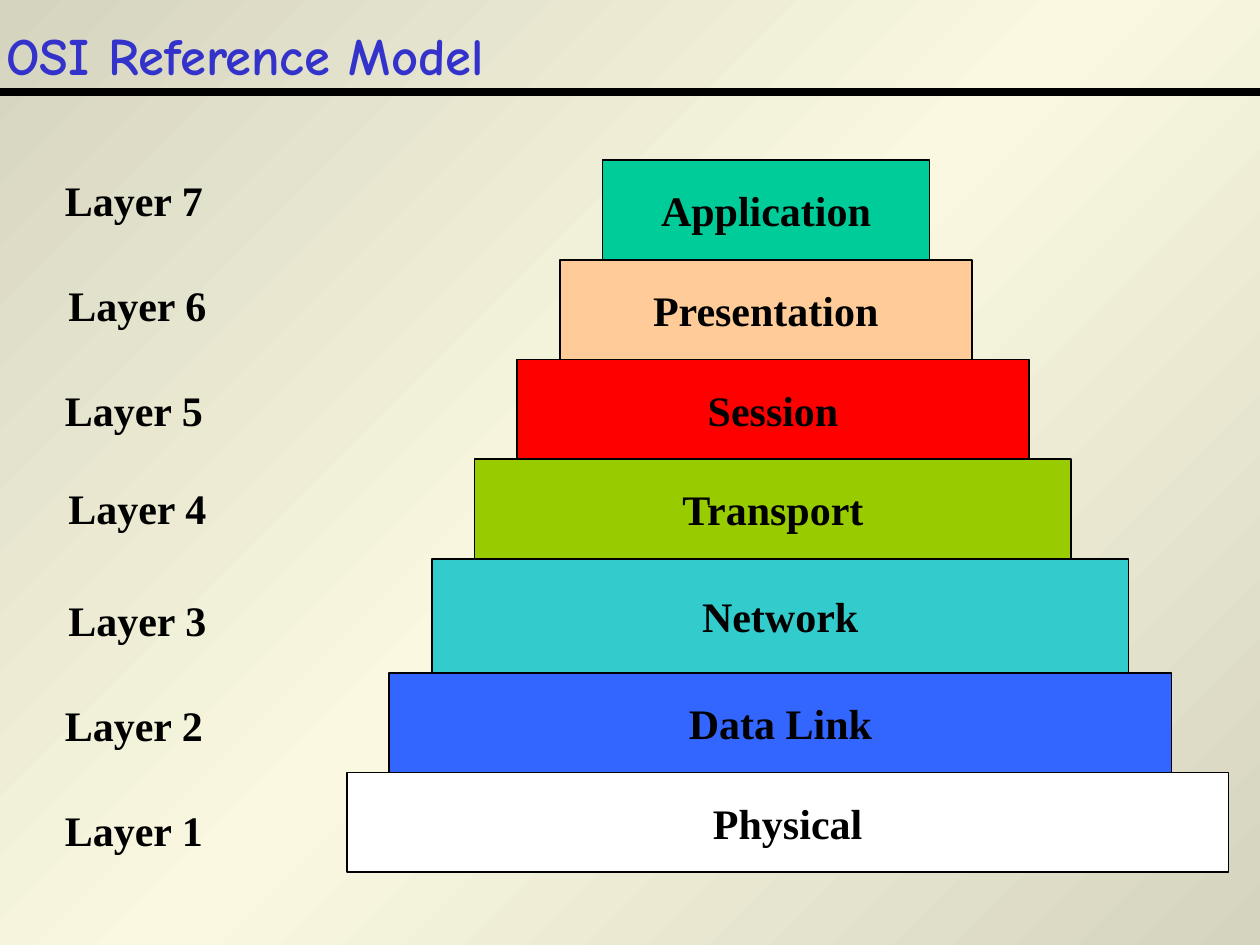
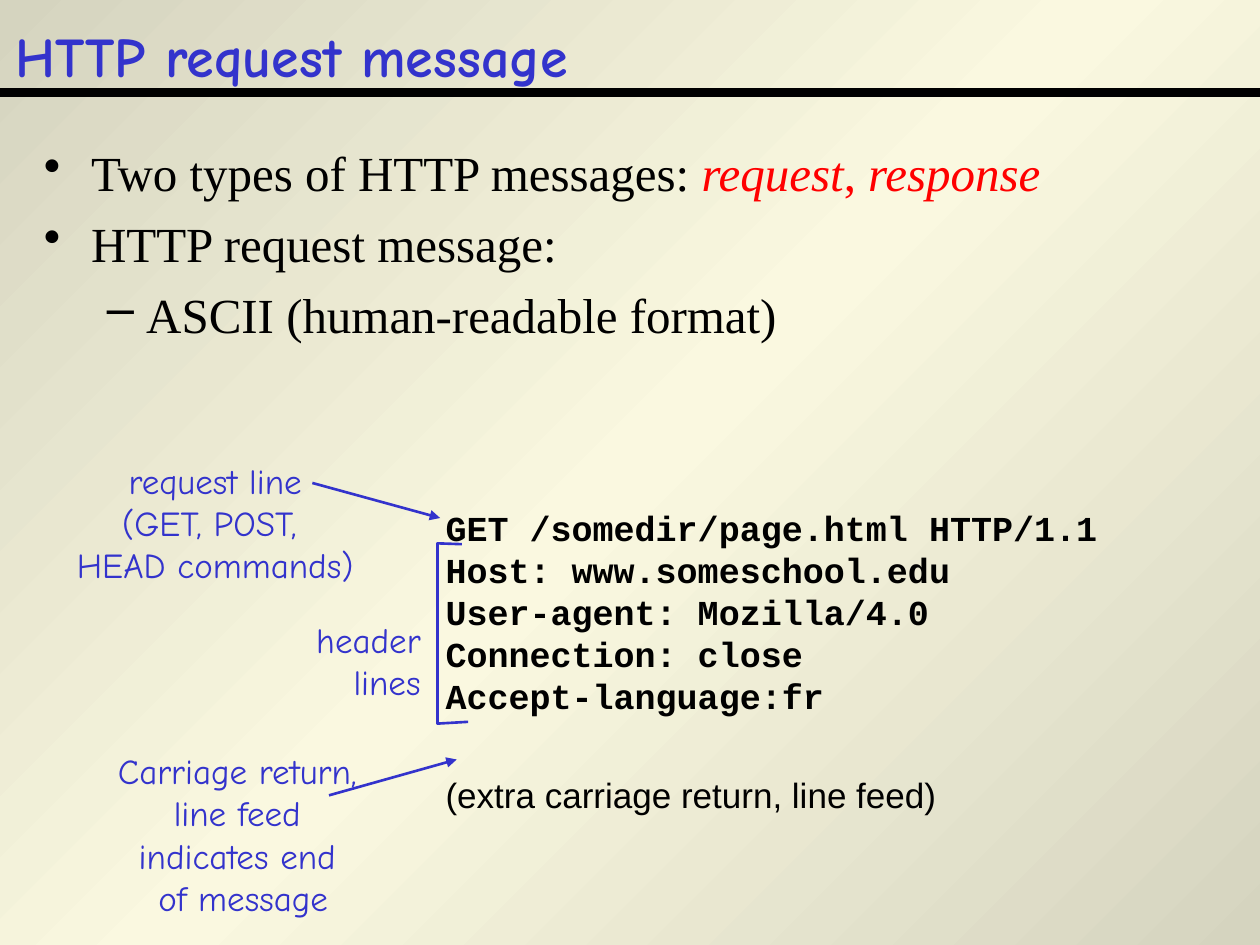
"""Build two networking slides: the OSI reference model and the HTTP request message."""
import copy
import dataclasses

import pptx
import pptx.dml.color
import pptx.enum.shapes
import pptx.enum.text
import pptx.oxml
import pptx.oxml.ns
import pptx.util

Pt = pptx.util.Pt
RGB = pptx.dml.color.RGBColor.from_string
ALIGN = pptx.enum.text.PP_ALIGN
ANCHOR = pptx.enum.text.MSO_ANCHOR
RECTANGLE = pptx.enum.shapes.MSO_SHAPE.RECTANGLE
STRAIGHT = pptx.enum.shapes.MSO_CONNECTOR.STRAIGHT
qn = pptx.oxml.ns.qn


@dataclasses.dataclass(frozen=True)
class Theme:
    edge: str = "D5D4BF"
    glow: str = "FAF8E0"
    ink: str = "000000"
    accent: str = "3333CC"
    emphasis: str = "FF0000"
    hand: str = "Comic Neue"
    serif: str = "Times New Roman"
    mono: str = "Courier New"
    sans: str = "Arial"
    body: int = 28
    label: int = 24
    note: int = 20
    leading: float = 1.2


theme = Theme()


def write(shape, lines, size, font, color=theme.ink, bold=False,
          align=ALIGN.LEFT, anchor=ANCHOR.TOP):
    frame = shape.text_frame
    frame.word_wrap = True
    frame.vertical_anchor = anchor
    frame.text = "\n".join(lines)
    for paragraph in frame.paragraphs:
        paragraph.alignment = align
        paragraph.line_spacing = Pt(size * theme.leading)
        for run in paragraph.runs:
            run.font.size = Pt(size)
            run.font.name = font
            run.font.bold = bold
            run.font.color.rgb = RGB(color)
    return frame.paragraphs


def draw_line(slide, start, end, color, width, arrow=False):
    line = slide.shapes.add_connector(STRAIGHT, *map(Pt, start + end))
    line.line.color.rgb = RGB(color)
    line.line.width = Pt(width)
    properties = line.element.spPr
    if arrow:
        outline = properties.find(qn("a:ln"))
        outline.append(pptx.oxml.parse_xml(
            f'<a:tailEnd {pptx.oxml.ns.nsdecls("a")} type="triangle"/>'))
    properties.append(properties.makeelement(qn("a:effectLst"), {}))


deck = pptx.Presentation()
deck.slide_width, deck.slide_height = Pt(720), Pt(540)
blank = deck.slide_layouts[6]

backdrop = deck.slide_master.background.fill
backdrop.gradient()
backdrop.gradient_angle = 135
first_stop = deck.slide_master.element.find(".//" + qn("a:gs"))
first_stop.addnext(copy.deepcopy(first_stop))
gradient = ((0, theme.edge), (0.5, theme.glow), (1, theme.edge))
for stop, (position, color) in zip(backdrop.gradient_stops, gradient):
    stop.position = position
    stop.color.rgb = RGB(color)

headings = (
    ("OSI Reference Model", (-3.6, 6.5, 672, 49.5), 30, ANCHOR.MIDDLE, 2),
    ("HTTP request message", (1.5, 8.5, 528, 46), 32, ANCHOR.TOP, 3),
)
slides = []
for heading, place, size, anchor, rule_width in headings:
    slide = deck.slides.add_slide(blank)
    draw_line(slide, (0, 52), (720, 52), theme.ink, 3)
    draw_line(slide, (0, 54), (720, 54), theme.ink, rule_width)
    title = slide.shapes.add_textbox(*map(Pt, place))
    write(title, [heading], size, theme.hand, theme.accent, True, anchor=anchor)
    slides.append(slide)
osi, http = slides

layers = (
    ("Application", "00CC99", 187, 57, 30, 96),
    ("Presentation", "FFCC99", 235.5, 57, 32, 156),
    ("Session", "FF0000", 292.5, 57, 30, 216),
    ("Transport", "99CC00", 341, 57, 32, 272),
    ("Network", "33CCCC", 398, 65, 32, 336),
    ("Data Link", "3366FF", 447, 57, 30, 396),
    ("Physical", "FFFFFF", 504, 57, 30, 456),
)
step_top = 91.4
for index, (name, color, width, height, label_left, label_top) in enumerate(layers):
    step_left = 344.2 - 24.35 * index
    step = osi.shapes.add_shape(
        RECTANGLE, Pt(step_left), Pt(step_top), Pt(width), Pt(height))
    step.shadow.inherit = False
    step.fill.solid()
    step.fill.fore_color.rgb = RGB(color)
    step.line.color.rgb = RGB(theme.ink)
    step.line.width = Pt(1)
    write(step, [name], theme.label, theme.serif, bold=True,
          align=ALIGN.CENTER, anchor=ANCHOR.MIDDLE)
    label = osi.shapes.add_textbox(Pt(label_left), Pt(label_top), Pt(130), Pt(36))
    write(label, [f"Layer {len(layers) - index}"], theme.label, theme.serif, bold=True)
    step_top += height

points = http.shapes.add_textbox(Pt(18), Pt(78), Pt(684), Pt(162))
outline = write(
    points,
    ["Two types of HTTP messages: ", "HTTP request message:",
     "ASCII (human-readable format)"],
    theme.body, theme.serif)
for text, italic in (("request", True), (", ", False), ("response", True)):
    run = outline[0].add_run()
    run.text = text
    run.font.size = Pt(theme.body)
    run.font.name = theme.serif
    run.font.italic = italic
    run.font.color.rgb = RGB(theme.emphasis)
bullets = (("•", 0, 27, 27), ("•", 0, 27, 27), ("–", 1, 58.5, 22.5))
for index, (paragraph, (mark, level, margin, hang)) in enumerate(zip(outline, bullets)):
    paragraph.level = level
    if index:
        paragraph.space_before = Pt(7)
    properties = paragraph._p.get_or_add_pPr()
    properties.set("marL", str(Pt(margin)))
    properties.set("indent", str(-Pt(hang)))
    properties.append(properties.makeelement(qn("a:buChar"), {"char": mark}))

request = http.shapes.add_textbox(Pt(247.5), Pt(286), Pt(400), Pt(185))
request_lines = write(
    request,
    ["GET /somedir/page.html HTTP/1.1", "Host: www.someschool.edu",
     "User-agent: Mozilla/4.0", "Connection: close", "Accept-language:fr",
     "(extra carriage return, line feed)"],
    theme.note, theme.mono, bold=True)
closing = request_lines[-1]
closing.space_before = Pt(32.5)
closing.runs[0].font.name = theme.sans
closing.runs[0].font.bold = False

notes = (
    (["request line", "(GET, POST, ", "HEAD commands)"],
     (29.5, 259, 187, 79), ALIGN.CENTER),
    (["header", "lines"], (160, 350, 87.5, 55), ALIGN.RIGHT),
    (["Carriage return, ", "line feed ", "indicates end ", "of message"],
     (53, 425, 172, 104), ALIGN.CENTER),
)
for lines, place, align in notes:
    note = http.shapes.add_textbox(*map(Pt, place))
    write(note, lines, theme.note, theme.hand, theme.accent, align=align)

for start, end in (((178.5, 276), (251.5, 296)), ((188, 454.5), (261, 434))):
    draw_line(http, start, end, theme.accent, 1.5, arrow=True)

corners = ((264, 311), (250, 310.5), (250, 413.5), (267.5, 412.5))
(start_x, start_y), *turns = [(Pt(x), Pt(y)) for x, y in corners]
builder = http.shapes.build_freeform(start_x, start_y)
builder.add_line_segments(turns, close=False)
bracket = builder.convert_to_shape()
bracket.shadow.inherit = False
bracket.fill.background()
bracket.line.color.rgb = RGB(theme.accent)
bracket.line.width = Pt(1.5)

deck.save("out.pptx")
